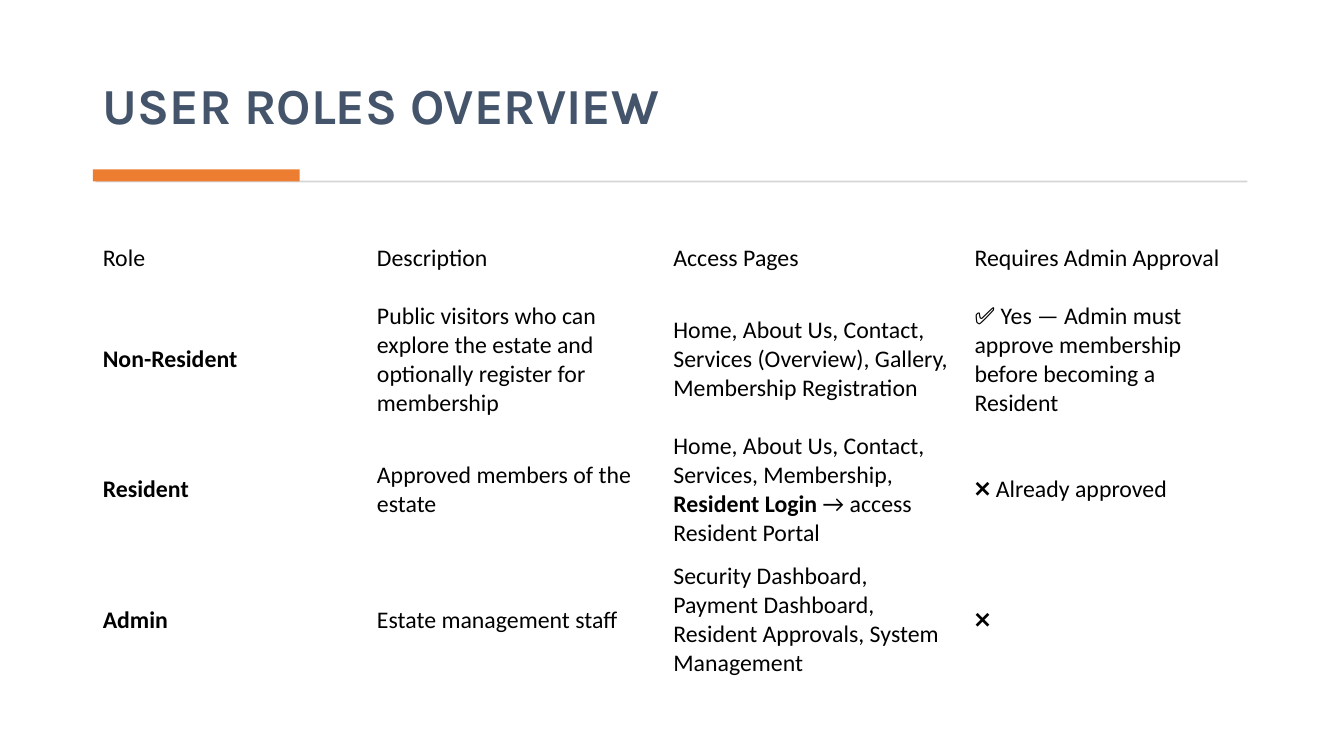
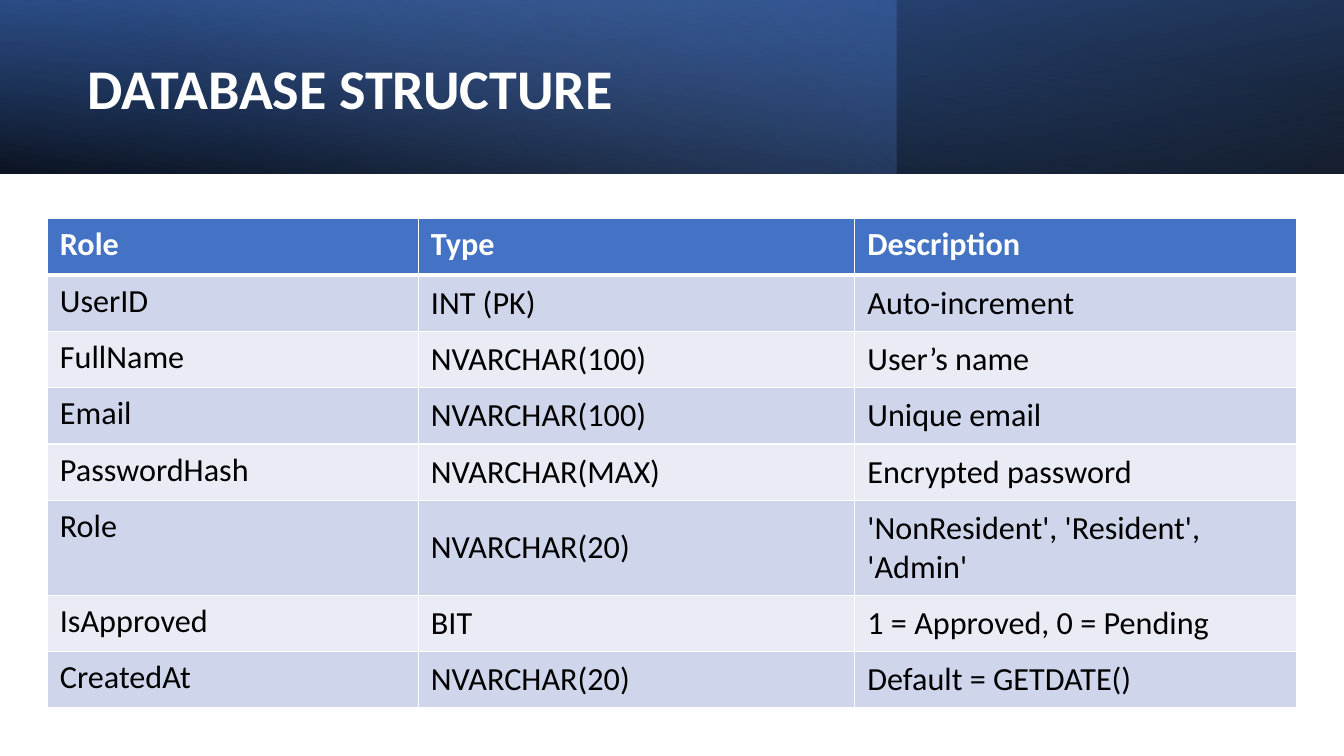
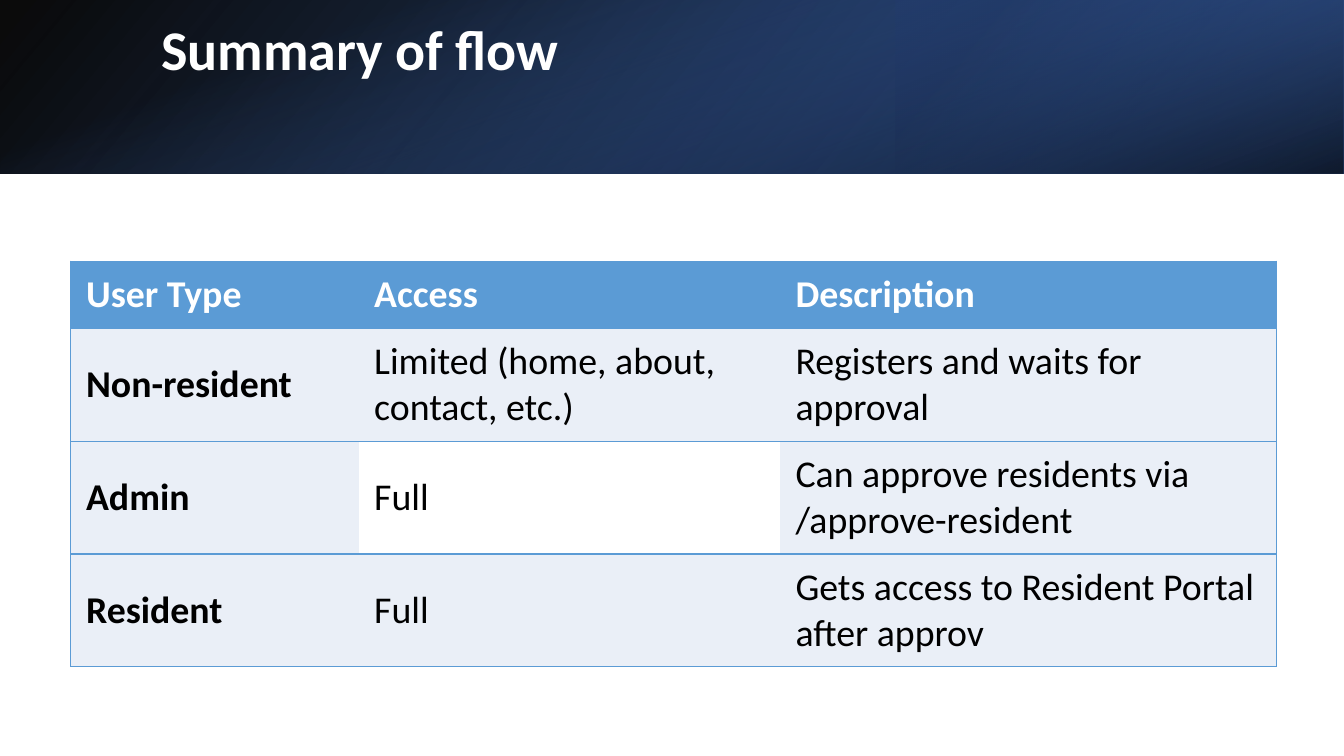
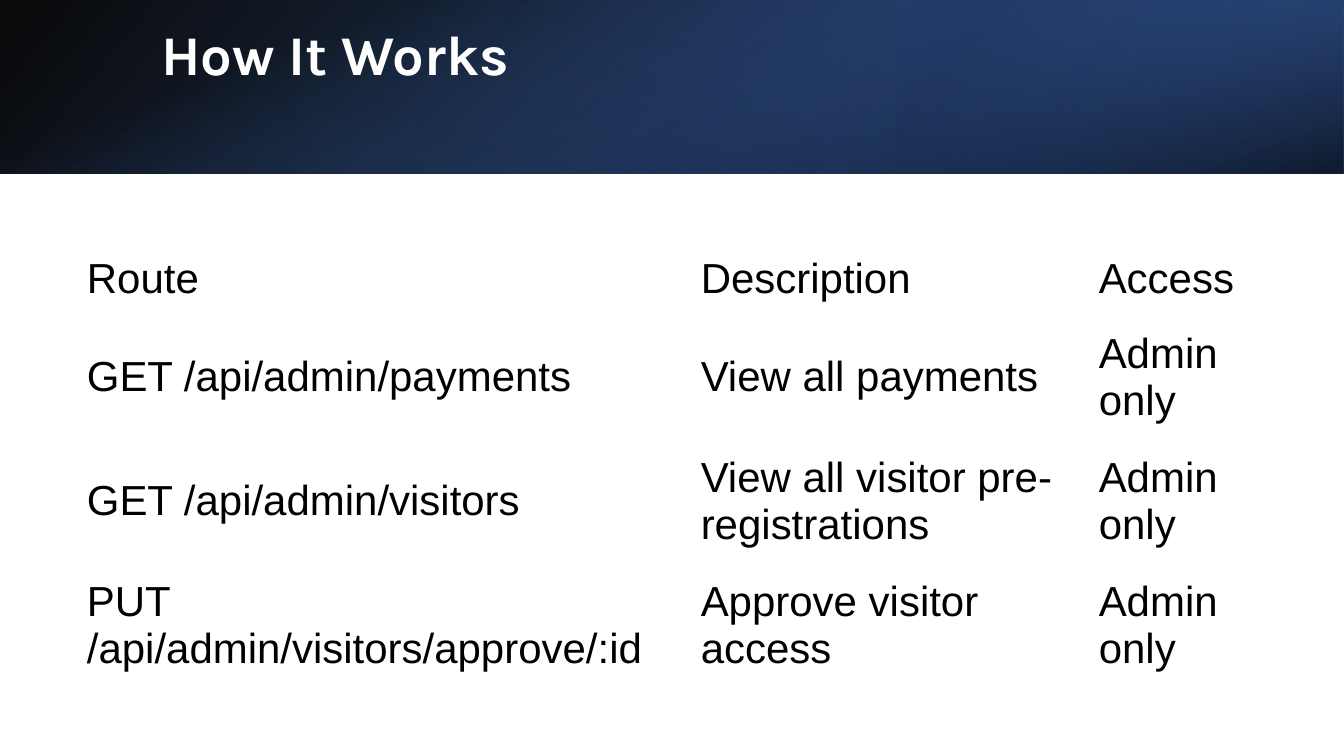
import dataclasses

import pptx
import pptx.dml.color
import pptx.enum.shapes
import pptx.enum.text
import pptx.oxml
import pptx.oxml.ns
import pptx.util

Cm = pptx.util.Cm
Pt = pptx.util.Pt
Anchor = pptx.enum.text.MSO_ANCHOR


@dataclasses.dataclass(frozen=True)
class Theme:
    """Colours, fonts and type sizes of the presentation."""
    white: str = "FFFFFF"
    black: str = "000000"
    slate: str = "44546A"
    grey: str = "D5D5D5"
    orange: str = "ED7D31"
    blue: str = "4472C4"
    light_blue: str = "8FAADC"
    deep_blue: str = "2F5597"
    navy: str = "203864"
    sky: str = "5B9BD5"
    sky_tint: str = "EAEFF7"
    band_dark: str = "CFD5EA"
    band_light: str = "E9EBF5"
    body_font: str = "Calibri"
    title_font: str = "Karla"
    route_font: str = "Arial"
    title_size: int = 40
    overview_title_size: int = 36
    overview_size: int = 17
    database_size: int = 23
    summary_size: int = 27
    route_size: int = 30


@dataclasses.dataclass(frozen=True)
class TableStyle:
    """Type, padding, fills and borders of one table."""
    font: str
    size: int
    padding: tuple
    header_fill: str = None
    row_fills: tuple = (None,)
    border: str = None
    inner_verticals: bool = False
    header_rule: int = 1
    first_column_anchor: Anchor = Anchor.MIDDLE
    header_anchor: Anchor = Anchor.MIDDLE


THEME = Theme()
WIDTH, HEIGHT, BAND = 33.87, 19.05, 4.37
OVERLAY = 22.58
NO_GRID_STYLE = "{2D5ABB26-0587-4C30-8999-92F81FD0307C}"


def colour(value):
    """Return an RGB colour from its hex digits."""
    return pptx.dml.color.RGBColor.from_string(value)


class Deck:
    """Holds the theme and the current slide, and draws each kind of element."""

    def __init__(self, theme):
        """Start an empty presentation."""
        self.theme = theme
        self.presentation = pptx.Presentation()
        self.presentation.slide_width = Cm(WIDTH)
        self.presentation.slide_height = Cm(HEIGHT)
        self.slide = None

    def new_slide(self):
        """Add a blank slide and make it current."""
        self.slide = self.presentation.slides.add_slide(self.presentation.slide_layouts[6])

    def rectangle(self, left, top, width, height, fill=None):
        """Draw a rectangle without outline or shadow."""
        shape = self.slide.shapes.add_shape(
            pptx.enum.shapes.MSO_SHAPE.RECTANGLE, Cm(left), Cm(top), Cm(width), Cm(height))
        shape.shadow.inherit = False
        shape.line.fill.background()
        if fill:
            shape.fill.solid()
            shape.fill.fore_color.rgb = colour(fill)
        return shape

    def gradient(self, left, top, width, height, stops, angle, rotation=0, flip=False):
        """Draw a rectangle with a translucent linear gradient."""
        shape = self.rectangle(left, top, width, height)
        shape.rotation = rotation
        properties = shape.element.spPr
        if flip:
            properties.xfrm.set("flipH", "1")
        stop_xml = "".join(
            f'<a:gs pos="{position * 1000}"><a:srgbClr val="{value}">'
            f'<a:alpha val="{opacity * 1000}"/></a:srgbClr></a:gs>'
            for position, value, opacity in stops)
        fill = pptx.oxml.parse_xml(
            f'<a:gradFill {pptx.oxml.ns.nsdecls("a")} rotWithShape="1"><a:gsLst>{stop_xml}</a:gsLst>'
            f'<a:lin ang="{angle * 60000}" scaled="0"/></a:gradFill>')
        properties.find(pptx.oxml.ns.qn("a:prstGeom")).addnext(fill)

    def side_lit_band(self):
        """Draw the header band shared by the flow and route slides."""
        theme = self.theme
        offset = (WIDTH - BAND) / 2
        self.gradient(0, 0, WIDTH, BAND,
                      [(0, theme.black, 96), (100, theme.deep_blue, 100)], 140, flip=True)
        self.gradient(OVERLAY, 0, WIDTH - OVERLAY, BAND,
                      [(19, theme.navy, 68), (100, theme.blue, 79)], 320, 180, True)
        self.gradient(offset, -offset, BAND, WIDTH,
                      [(23, theme.blue, 0), (99, theme.black, 74)], 340, 90)

    def database_band(self):
        """Draw the header band of the database slide."""
        theme = self.theme
        self.gradient(0, 0, WIDTH, BAND,
                      [(0, theme.black, 96), (100, theme.deep_blue, 100)], 100, 180, True)
        self.gradient(0, 0, OVERLAY, BAND,
                      [(0, theme.blue, 41), (74, theme.light_blue, 0)], 140)
        self.gradient(0, 0, WIDTH, BAND,
                      [(0, theme.black, 63), (78, theme.blue, 15)], 260, flip=True)

    def title(self, text, left, top, width, height, font, size=None, ink=None,
              anchor=Anchor.MIDDLE):
        """Write a bold slide title."""
        frame = self.slide.shapes.add_textbox(Cm(left), Cm(top), Cm(width), Cm(height)).text_frame
        frame.word_wrap = True
        frame.vertical_anchor = anchor
        frame.text = text
        paragraph = frame.paragraphs[0]
        paragraph.line_spacing = 0.9
        self.format(paragraph.runs[0], font, size or self.theme.title_size,
                    ink or self.theme.white, True)

    def format(self, run, font, size, ink, bold):
        """Set the type of one run."""
        run.font.name = font
        run.font.size = Pt(size)
        run.font.bold = bold
        run.font.color.rgb = colour(ink)

    def borders(self, cell, style, widths):
        """Draw the given sides of a cell, keyed L, R, T and B."""
        properties = cell._tc.get_or_add_tcPr()
        for side in "LRTB":
            if side in widths:
                properties.append(pptx.oxml.parse_xml(
                    f'<a:ln{side} {pptx.oxml.ns.nsdecls("a")} w="{Pt(widths[side])}">'
                    f'<a:solidFill><a:srgbClr val="{style.border}"/></a:solidFill></a:ln{side}>'))

    def cell(self, cell, text, style, header, fill):
        """Fill one cell; parts between asterisks are bold."""
        cell.margin_left = cell.margin_right = Cm(style.padding[0])
        cell.margin_top = cell.margin_bottom = Cm(style.padding[1])
        if fill:
            cell.fill.solid()
            cell.fill.fore_color.rgb = colour(fill)
        else:
            cell.fill.background()
        strong_header = header and style.header_fill is not None
        ink = self.theme.white if strong_header else self.theme.black
        paragraph = cell.text_frame.paragraphs[0]
        for index, part in enumerate(text.split("*")):
            if part:
                run = paragraph.add_run()
                run.text = part
                self.format(run, style.font, style.size, ink, strong_header or index % 2 == 1)

    def table(self, left, top, columns, heights, rows, style):
        """Draw a table and return it."""
        frame = self.slide.shapes.add_table(
            len(rows), len(columns), Cm(left), Cm(top), Cm(sum(columns)), Cm(sum(heights)))
        frame.element.find(".//" + pptx.oxml.ns.qn("a:tableStyleId")).text = NO_GRID_STYLE
        table = frame.table
        table.first_row = table.horz_banding = False
        for column, width in zip(table.columns, columns):
            column.width = Cm(width)
        for row, height in zip(table.rows, heights):
            row.height = Cm(height)
        last = len(columns) - 1
        for row_index, texts in enumerate(rows):
            header = row_index == 0
            fill = (style.header_fill if header
                    else style.row_fills[(row_index - 1) % len(style.row_fills)])
            for column_index, text in enumerate(texts):
                cell = table.cell(row_index, column_index)
                if style.border:
                    widths = {"T": style.header_rule if row_index == 1 else 1,
                              "B": style.header_rule if header else 1}
                    if column_index == 0 or style.inner_verticals:
                        widths["L"] = 1
                    if column_index == last or style.inner_verticals:
                        widths["R"] = 1
                    self.borders(cell, style, widths)
                self.cell(cell, text, style, header, fill)
                cell.vertical_anchor = (
                    style.header_anchor if header
                    else style.first_column_anchor if column_index == 0 else Anchor.MIDDLE)
        return table


def roles_slide(deck):
    """Build the overview of user roles."""
    theme = deck.theme
    deck.new_slide()
    deck.title("USER ROLES OVERVIEW", 2.34, 0.71, 29.18, 2.82, theme.title_font,
               theme.overview_title_size, theme.slate, Anchor.BOTTOM)
    deck.rectangle(2.41, 4.55, 29.03, 0.05, theme.grey)
    deck.rectangle(2.34, 4.27, 5.21, 0.3, theme.orange)
    deck.table(2.34, 5.59, [6.91, 7.47, 7.59, 7.21], [1.83] + [3.28] * 3, [
        ["Role", "Description", "Access Pages", "Requires Admin Approval"],
        ["*Non-Resident*",
         "Public visitors who can explore the estate and optionally register for membership",
         "Home, About Us, Contact, Services (Overview), Gallery, Membership Registration",
         "✅ Yes — Admin must approve membership before becoming a Resident"],
        ["*Resident*", "Approved members of the estate",
         "Home, About Us, Contact, Services, Membership, *Resident Login* → access Resident Portal",
         "❌ Already approved"],
        ["*Admin*", "Estate management staff",
         "Security Dashboard, Payment Dashboard, Resident Approvals, System Management", "❌"],
    ], TableStyle(theme.body_font, theme.overview_size, (0.25, 0.13)))


def database_slide(deck):
    """Build the table of database fields."""
    theme = deck.theme
    deck.new_slide()
    deck.database_band()
    deck.title("DATABASE STRUCTURE", 1.96, 0.69, 19.61, 3.23, theme.body_font)
    style = TableStyle(theme.body_font, theme.database_size, (0.32, 0.16), theme.blue,
                       (theme.band_dark, theme.band_light), theme.white, True, 3,
                       Anchor.TOP, Anchor.TOP)
    deck.table(1.19, 5.51, [9.35, 11, 11.13], [1.42] * 5 + [2.39] + [1.42] * 2, [
        ["Role", "Type", "Description"],
        ["UserID", "INT (PK)", "Auto-increment"],
        ["FullName", "NVARCHAR(100)", "User’s name"],
        ["Email", "NVARCHAR(100)", "Unique email"],
        ["PasswordHash", "NVARCHAR(MAX)", "Encrypted password"],
        ["Role", "NVARCHAR(20)", "'NonResident', 'Resident', 'Admin'"],
        ["IsApproved", "BIT", "1 = Approved, 0 = Pending"],
        ["CreatedAt", "NVARCHAR(20)", "Default = GETDATE()"],
    ], style)


def summary_slide(deck):
    """Build the summary of access by user type."""
    theme = deck.theme
    deck.new_slide()
    deck.side_lit_band()
    deck.title("Summary of flow", 3.81, 0.41, 27.89, 1.8, theme.body_font)
    style = TableStyle(theme.body_font, theme.summary_size, (0.39, 0.2), theme.sky,
                       (theme.sky_tint,), theme.sky)
    table = deck.table(1.78, 6.58, [7.26, 10.62, 12.5], [1.7] + [2.84] * 3, [
        ["User Type", "Access", "Description"],
        ["*Non-resident*", "Limited (home, about, contact, etc.)",
         "Registers and waits for approval"],
        ["*Admin*", "Full", "Can approve residents via /approve-resident"],
        ["*Resident*", "Full", "Gets access to Resident Portal after approv"],
    ], style)
    table.cell(2, 1).fill.fore_color.rgb = colour(theme.white)


def routes_slide(deck):
    """Build the list of admin routes."""
    theme = deck.theme
    deck.new_slide()
    deck.side_lit_band()
    deck.title("How It Works", 3.81, 0.54, 27.89, 1.8, theme.title_font)
    deck.table(1.78, 6.1, [15.47, 10.03, 4.85], [1.85] + [3.12] * 3, [
        ["Route", "Description", "Access"],
        ["GET /api/admin/payments", "View all payments", "Admin only"],
        ["GET /api/admin/visitors", "View all visitor pre-registrations", "Admin only"],
        ["PUT /api/admin/visitors/approve/:id", "Approve visitor access", "Admin only"],
    ], TableStyle(theme.route_font, theme.route_size, (0.41, 0.2)))


def main():
    """Build and save the presentation."""
    deck = Deck(THEME)
    for build in (roles_slide, database_slide, summary_slide, routes_slide):
        build(deck)
    deck.presentation.save("out.pptx")


if __name__ == "__main__":
    main()
